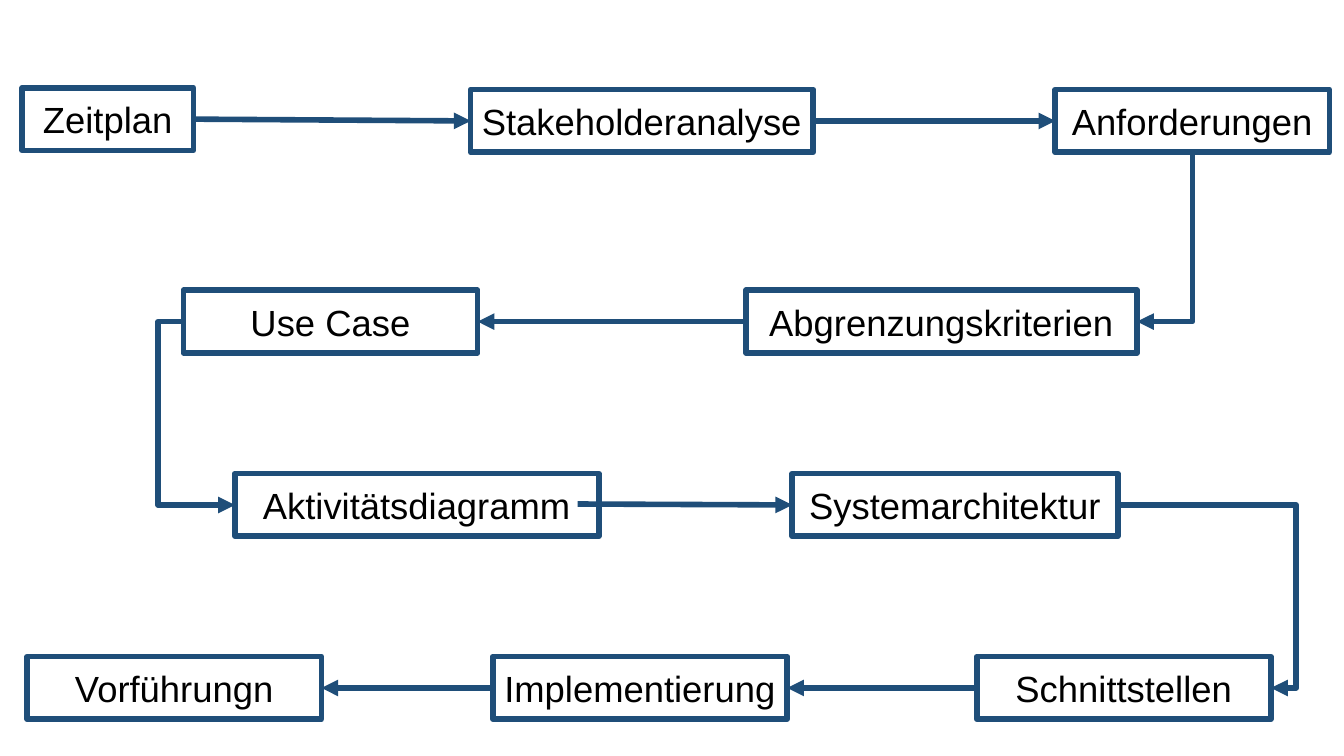
from dataclasses import dataclass

from lxml import etree
from pptx import Presentation
from pptx.dml.color import RGBColor
from pptx.enum.shapes import MSO_CONNECTOR, MSO_SHAPE
from pptx.enum.text import MSO_ANCHOR, PP_ALIGN
from pptx.oxml.ns import qn
from pptx.util import Pt

RECT = MSO_SHAPE.RECTANGLE
STRAIGHT, ELBOW = MSO_CONNECTOR.STRAIGHT, MSO_CONNECTOR.ELBOW
CENTER, MIDDLE = PP_ALIGN.CENTER, MSO_ANCHOR.MIDDLE
LEFT, BOTTOM, RIGHT = 1, 2, 3


@dataclass(frozen=True)
class Theme:
    line: RGBColor = RGBColor(0x1F, 0x4E, 0x79)
    fill: RGBColor = RGBColor(0xFF, 0xFF, 0xFF)
    text: RGBColor = RGBColor(0, 0, 0)
    font: str = "Arial"
    size: float = 26
    line_width: float = 4
    box_height: float = 44.8


THEME = Theme()

# Process steps: label, left, top, width
STEPS = [
    ("Zeitplan", 15.8, 62.7, 122.4),
    ("Stakeholderanalyse", 336.2, 64, 244.8),
    ("Anforderungen", 753.8, 64, 195.8),
    ("Abgrenzungskriterien", 532.8, 207.3, 279.4),
    ("Use Case", 131, 207.3, 210.2),
    ("Aktivitätsdiagramm", 167.8, 338.3, 259.9),
    ("Systemarchitektur", 565.9, 338.3, 232.6),
    ("Schnittstellen", 697.7, 469, 210.2),
    ("Implementierung", 352.1, 469, 210.2),
    ("Vorführungn", 19.4, 469, 210.2),
]

# Straight arrows: from, side, to, side
ARROWS = [
    ("Zeitplan", RIGHT, "Stakeholderanalyse", LEFT),
    ("Stakeholderanalyse", RIGHT, "Anforderungen", LEFT),
    ("Abgrenzungskriterien", LEFT, "Use Case", RIGHT),
    ("Schnittstellen", LEFT, "Implementierung", RIGHT),
    ("Implementierung", LEFT, "Vorführungn", RIGHT),
]


def add_step(s, label, left, top, width):
    box = s.shapes.add_shape(RECT, Pt(left), Pt(top), Pt(width), Pt(THEME.box_height))
    box.shadow.inherit = False
    box.fill.solid()
    box.fill.fore_color.rgb = THEME.fill
    box.line.color.rgb = THEME.line
    box.line.width = Pt(THEME.line_width)
    tf = box.text_frame
    tf.text = label
    tf.word_wrap = False
    tf.vertical_anchor = MIDDLE
    p = tf.paragraphs[0]
    p.alignment = CENTER
    font = p.runs[0].font
    font.name = THEME.font
    font.size = Pt(THEME.size)
    font.color.rgb = THEME.text
    return box


def side_point(box, side):
    """Return the middle of a side of the box."""
    middle = box.left + box.width // 2, box.top + box.height // 2
    return {
        LEFT: (box.left, middle[1]),
        BOTTOM: (middle[0], box.top + box.height),
        RIGHT: (box.left + box.width, middle[1]),
    }[side]


def add_arrow(s, kind, start, end):
    arrow = s.shapes.add_connector(kind, *start, *end)
    arrow.line.color.rgb = THEME.line
    arrow.line.width = Pt(THEME.line_width)
    sp_pr = arrow.line._get_or_add_ln().getparent()
    etree.SubElement(sp_pr.find(qn("a:ln")), qn("a:tailEnd"), type="triangle")
    etree.SubElement(sp_pr, qn("a:effectLst"))
    return arrow


def add_side_loop(s, start, end, bend_x):
    """Elbow arrow whose vertical part runs at bend_x."""
    arrow = add_arrow(s, ELBOW, start, end)
    ratio = (bend_x - start[0]) / (end[0] - start[0])
    guides = arrow.line._get_or_add_ln().getparent().find(qn("a:prstGeom")).get_or_add_avLst()
    etree.SubElement(guides, qn("a:gd"), name="adj1", fmla=f"val {round(ratio * 100000)}")


def add_corner(s, start, end):
    """Elbow arrow that goes down and then left: a quarter-turned corner."""
    arrow = add_arrow(s, ELBOW, start, end)
    across, down = start[0] - end[0], end[1] - start[1]
    sp_pr = arrow.line._get_or_add_ln().getparent()
    sp_pr.find(qn("a:prstGeom")).set("prst", "bentConnector2")
    xfrm = sp_pr.find(qn("a:xfrm"))
    xfrm.attrib.clear()
    xfrm.set("rot", "5400000")
    arrow.left = (start[0] + end[0] - down) // 2
    arrow.top = (start[1] + end[1] - across) // 2
    arrow.width, arrow.height = down, across


def main():
    prs = Presentation()
    prs.slide_width, prs.slide_height = Pt(960), Pt(540)
    s = prs.slides.add_slide(prs.slide_layouts[6])

    # Steps
    boxes = {step[0]: add_step(s, *step) for step in STEPS}

    # Straight arrows
    for source, out_side, target, in_side in ARROWS:
        begin, end = boxes[source], boxes[target]
        arrow = add_arrow(s, STRAIGHT, side_point(begin, out_side), side_point(end, in_side))
        arrow.begin_connect(begin, out_side)
        arrow.end_connect(end, in_side)

    # This arrow starts inside its box
    system = boxes["Systemarchitektur"]
    arrow = add_arrow(s, STRAIGHT, (Pt(412.6), Pt(360)), side_point(system, LEFT))
    arrow.end_connect(system, LEFT)

    # Row changes
    add_corner(s, side_point(boxes["Anforderungen"], BOTTOM),
               side_point(boxes["Abgrenzungskriterien"], RIGHT))
    add_side_loop(s, side_point(boxes["Use Case"], LEFT),
                  side_point(boxes["Aktivitätsdiagramm"], LEFT), Pt(113))
    add_side_loop(s, side_point(system, RIGHT),
                  side_point(boxes["Schnittstellen"], RIGHT), Pt(926))

    prs.save("out.pptx")


if __name__ == "__main__":
    main()
